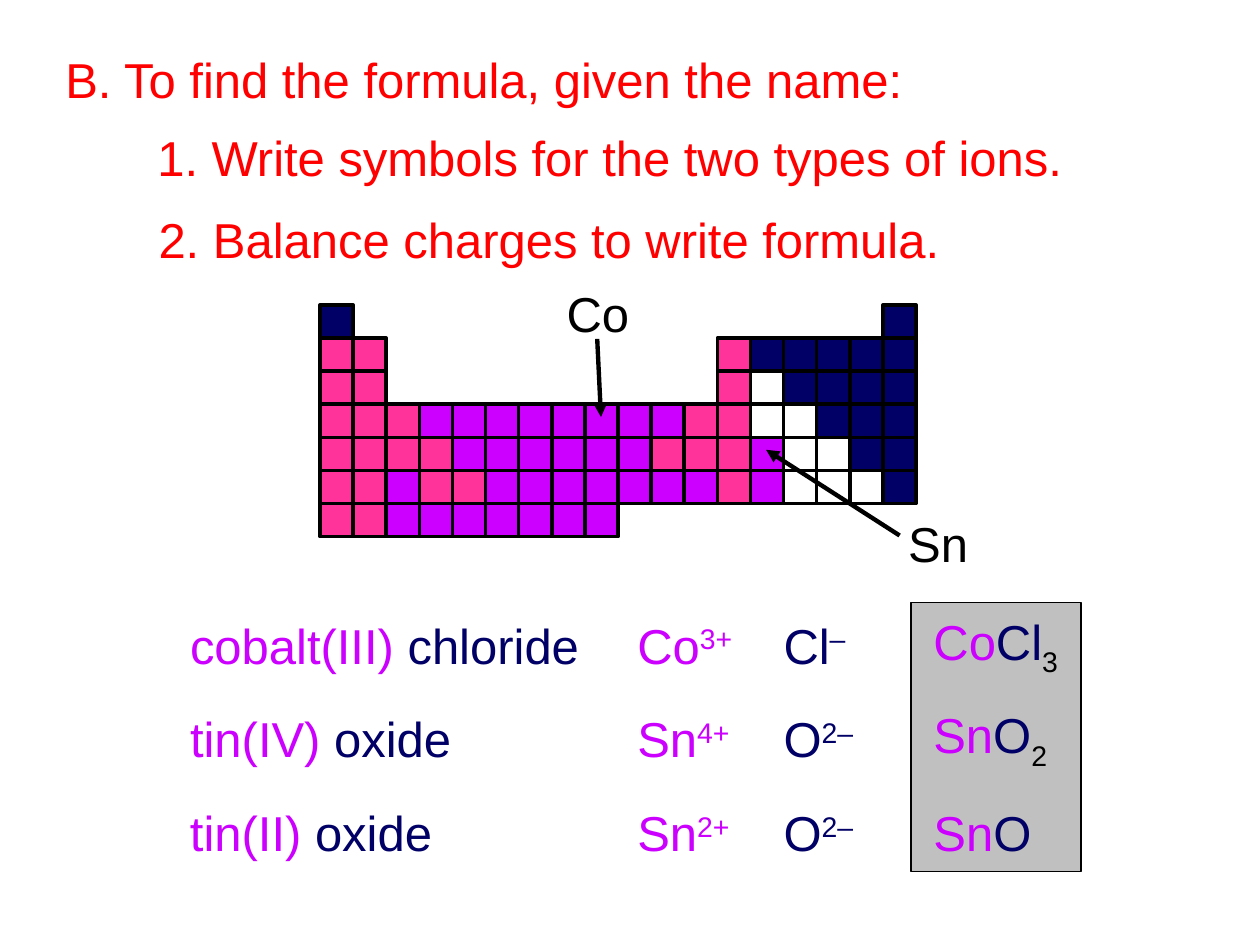
from dataclasses import dataclass

from lxml.etree import SubElement
from pptx import Presentation
from pptx.dml.color import RGBColor
from pptx.enum.shapes import MSO_CONNECTOR, MSO_SHAPE
from pptx.enum.text import MSO_ANCHOR, MSO_AUTO_SIZE, PP_ALIGN
from pptx.oxml.ns import qn
from pptx.util import Inches, Pt


@dataclass(frozen=True)
class Theme:
    """Colours and type sizes of the slide."""
    heading: str = "FF0000"
    variable: str = "CC00FF"
    fixed: str = "FF3399"
    nonmetal: str = "000066"
    ink: str = "000000"
    panel: str = "C0C0C0"
    font: str = "Arial"
    size: float = 28
    cell_line: float = 2
    arrow_line: float = 2.5
    panel_line: float = 0.75


@dataclass(frozen=True)
class Box:
    """An area on the slide grid of 100 columns by 75 rows."""
    x: float
    y: float
    w: float
    h: float

    def inner(self, x, y, w, h):
        """Return a box placed relative to this one."""
        return Box(self.x + x, self.y + y, w, h)

    def emu(self):
        """Return left, top, width and height as lengths."""
        return [unit(v) for v in (self.x, self.y, self.w, self.h)]


T = Theme()
TEXT_ROWS = 5.7
TABLE = (
    "N................N",
    "PP..........PNNNNN",
    "PP..........PWNNNN",
    "PPPVVVVVVVVPPWWNNN",
    "PPPPVVVVVVPPPVWWNN",
    "PPVPPVVVVVVVPVWWWN",
    "PPVVVVVVV.........",
)
CELL_FILLS = {"N": T.nonmetal, "P": T.fixed, "V": T.variable, "W": None}
HEADINGS = (
    (0, 0, 69.3, "B. To find the formula, given the name:"),
    (7.3, 6.2, 75.1, "1. Write symbols for the two types of ions."),
    (7.4, 12.7, 65.2, "2. Balance charges to write formula."),
)
V, N, K = T.variable, T.nonmetal, T.ink
EXAMPLE_COLUMNS = (0, 35.5, 47.1, 59)
EXAMPLES = (
    ((34.1, ("cobalt(III) ", V), ("chloride", N)),
     (11.1, ("Co", V), ("3+", V, 30)),
     (8.2, ("Cl", N), ("–", N, 30)),
     (13.2, ("Co", V), ("Cl", N), ("3", K, -25))),
    ((23.9, ("tin(IV) ", V), ("oxide", N)),
     (10.9, ("Sn", V), ("4+", V, 30)),
     (9.1, ("O", N), ("2–", N, 30)),
     (12.3, ("Sn", V), ("O", N), ("2", K, -25))),
    ((22.4, ("tin(II) ", V), ("oxide", N)),
     (10.9, ("Sn", V), ("2+", V, 30)),
     (9.1, ("O", N), ("2–", N, 30)),
     (10.9, ("Sn", V), ("O", N))),
)


def unit(v):
    """Convert grid columns or rows to a length."""
    return Inches(v / 10)


def rgb(color):
    """Convert a hex string to a colour."""
    return RGBColor.from_string(color)


def add_text(shapes, box, runs, centered=False):
    """Place one line of runs given as text, colour and optional baseline."""
    tf = shapes.add_textbox(*box.emu()).text_frame
    tf.word_wrap = centered
    tf.auto_size = MSO_AUTO_SIZE.SHAPE_TO_FIT_TEXT
    tf.vertical_anchor = MSO_ANCHOR.TOP if centered else MSO_ANCHOR.MIDDLE
    p = tf.paragraphs[0]
    p.alignment = PP_ALIGN.CENTER if centered else PP_ALIGN.LEFT
    p.font.name, p.font.size = T.font, Pt(T.size)
    for text, color, *baseline in runs:
        r = p.add_run()
        r.text = text
        r.font.color.rgb = rgb(color)
        if baseline:
            r.font._element.set("baseline", str(baseline[0] * 1000))


def add_rect(shapes, box, fill, width):
    """Place an outlined rectangle, unfilled if fill is None."""
    sp = shapes.add_shape(MSO_SHAPE.RECTANGLE, *box.emu())
    sp.shadow.inherit = False
    if fill:
        sp.fill.solid()
        sp.fill.fore_color.rgb = rgb(fill)
    else:
        sp.fill.background()
    sp.line.color.rgb = rgb(T.ink)
    sp.line.width = Pt(width)


def add_headings(s, box):
    """Place the heading and its two steps."""
    for x, y, w, text in HEADINGS:
        add_text(s.shapes, box.inner(x, y, w, TEXT_ROWS), [(text, T.heading)])


def add_periodic_table(s, box):
    """Place the coloured cells of the periodic table."""
    grp = s.shapes.add_group_shape()
    w, h = box.w / len(TABLE[0]), box.h / len(TABLE)
    for i, row in enumerate(TABLE):
        for j, kind in enumerate(row):
            if kind in CELL_FILLS:
                cell = box.inner(j * w, i * h, w, h)
                add_rect(grp.shapes, cell, CELL_FILLS[kind], T.cell_line)


def add_callout(s, box, symbol, start, end):
    """Place an element symbol and the arrow to its cell."""
    grp = s.shapes.add_group_shape()
    add_text(grp.shapes, box, [(symbol, T.ink)], centered=True)
    points = [unit(v) for dx, dy in (start, end) for v in (box.x + dx, box.y + dy)]
    ln = grp.shapes.add_connector(MSO_CONNECTOR.STRAIGHT, *points)
    ln.line.color.rgb = rgb(T.ink)
    ln.line.width = Pt(T.arrow_line)
    SubElement(ln.line._get_or_add_ln(), qn("a:tailEnd"), type="triangle")
    SubElement(ln._element.spPr, qn("a:effectLst"))


def add_examples(s, box):
    """Place names, ions and formulas in rows beside the answer panel."""
    add_rect(s.shapes, box.inner(58.2, 0, 13.5, box.h), T.panel, T.panel_line)
    for i, row in enumerate(EXAMPLES):
        for x, (w, *runs) in zip(EXAMPLE_COLUMNS, row):
            add_text(s.shapes, box.inner(x, 0.5 + i * 7.45, w, TEXT_ROWS), runs)


def main():
    """Build and save the slide."""
    prs = Presentation()
    prs.slide_width, prs.slide_height = unit(100), unit(75)
    s = prs.slides.add_slide(prs.slide_layouts[6])
    add_periodic_table(s, Box(25.4, 24.2, 47.3, 18.4))
    add_examples(s, Box(14.1, 47.8, 71.7, 21.4))
    add_headings(s, Box(4.2, 3.4, 82.4, 18.4))
    add_callout(s, Box(43.7, 22, 7.5, TEXT_ROWS), "Co", (3.7, 4.9), (4, 11.1))
    add_callout(s, Box(70.7, 40.3, 7.5, TEXT_ROWS), "Sn", (0.7, 2.2), (-9.9, -4.6))
    prs.save("out.pptx")


if __name__ == "__main__":
    main()
